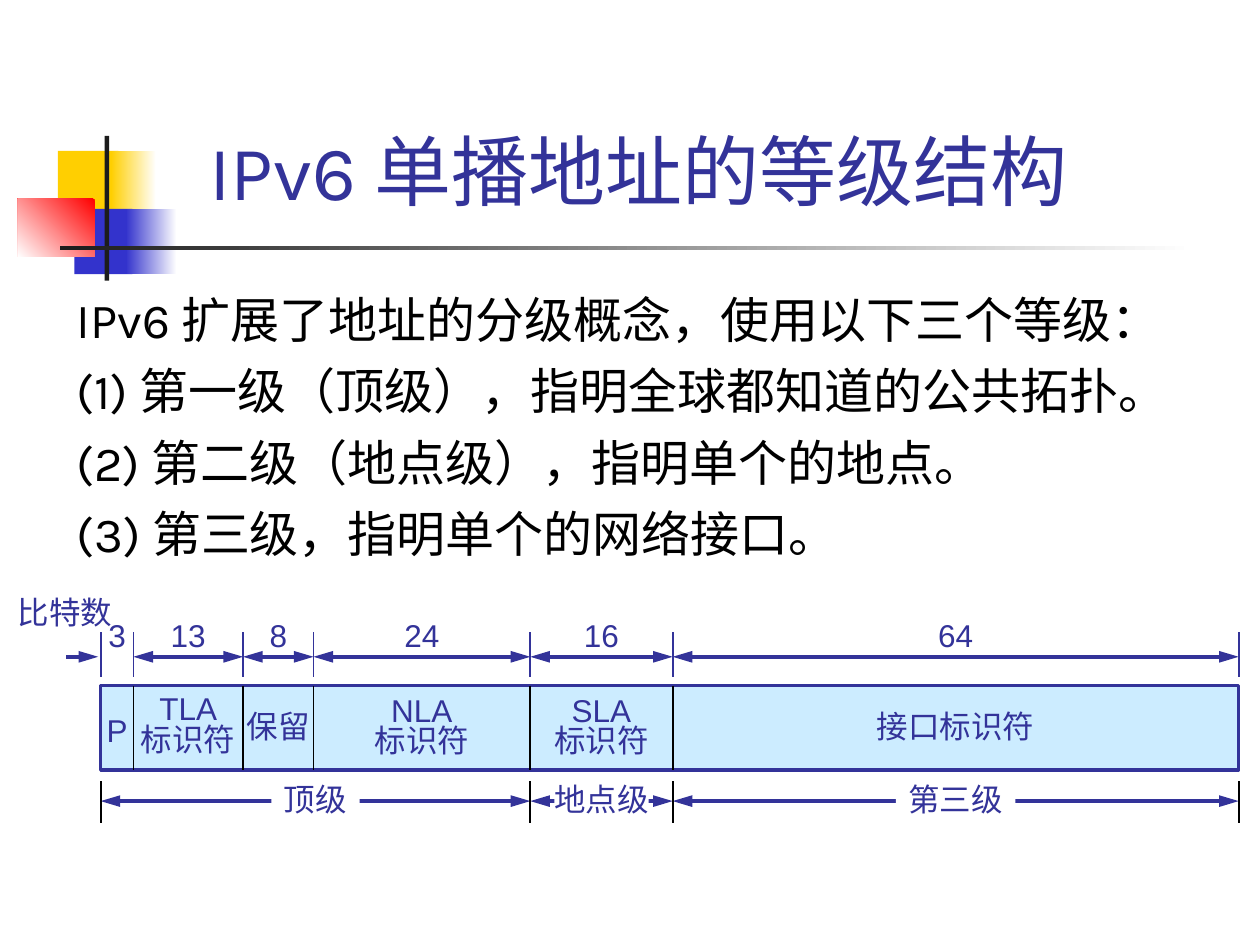
from lxml.etree import SubElement
from pptx import Presentation
from pptx.dml.color import RGBColor
from pptx.enum.shapes import MSO_CONNECTOR, MSO_SHAPE
from pptx.enum.text import MSO_ANCHOR, MSO_AUTO_SIZE, PP_ALIGN
from pptx.oxml.ns import qn
from pptx.util import Cm, Pt

RECT = MSO_SHAPE.RECTANGLE
LINE = MSO_CONNECTOR.STRAIGHT
LEFT, MID = PP_ALIGN.LEFT, PP_ALIGN.CENTER
TOP, BASE = MSO_ANCHOR.TOP, MSO_ANCHOR.BOTTOM
FIXED = MSO_AUTO_SIZE.NONE

INK, BLACK, WHITE, PALE = "333399", "000000", "FFFFFF", "CCECFF"
GOLD, BLUE, RED, DARK = "FFCF01", "3333CC", "FF0000", "1C1C1C"

TITLE = "IPv6 单播地址的等级结构 "
BODY = [
    "IPv6 扩展了地址的分级概念，使用以下三个等级：",
    "(1) 第一级（顶级），指明全球都知道的公共拓扑。",
    "(2) 第二级（地点级），指明单个的地点。",
    "(3) 第三级，指明单个的网络接口。",
]

EDGES = [0, 0.66, 2.87, 4.29, 8.66, 11.53, 22.94]
FIELDS = [
    ("3", ["P"], 0.38),
    ("13", ["TLA", "标识符"], 0.1),
    ("8", ["保留"], 0.3),
    ("24", ["NLA", "标识符"], 0.13),
    ("16", ["SLA", "标识符"], 0.13),
    ("64", ["接口标识符"], 0.3),
]
LEVELS = [
    ("顶级", 0, 4, 1.78),
    ("地点级", 4, 5, 1.9),
    ("第三级", 5, 6, 2.41),
]


def tint(code):
    return RGBColor.from_string(code)


def apply(item, form):
    for key, value in form.items():
        setattr(item, key, value)


def write(shape, lines, font, code, frame, para):
    text = shape.text_frame
    apply(text, {"auto_size": FIXED, **frame})
    for i, words in enumerate(lines):
        part = text.paragraphs[0] if i == 0 else text.add_paragraph()
        apply(part, para)
        run = part.add_run()
        run.text = words
        apply(run.font, font)
        run.font.color.rgb = tint(code)


def block(slide, x, y, w, h, fill, end=None, angle=0):
    shape = slide.shapes.add_shape(RECT, Cm(x), Cm(y), Cm(w), Cm(h))
    shape.shadow.inherit = False
    shape.line.fill.background()
    if end:
        shape.fill.gradient()
        shape.fill.gradient_angle = angle
        for stop, code in zip(shape.fill.gradient_stops, (fill, end)):
            stop.color.rgb = tint(code)
    else:
        shape.fill.solid()
        shape.fill.fore_color.rgb = tint(fill)
    return shape


def rule(slide, x1, y1, x2, y2, code, width=1, ends=()):
    line = slide.shapes.add_connector(LINE, Cm(x1), Cm(y1), Cm(x2), Cm(y2))
    line.line.color.rgb = tint(code)
    line.line.width = Pt(width)
    props = line.line._get_or_add_ln()
    for end in ends:
        SubElement(props, qn(f"a:{end}"), type="triangle", w="med", len="lg")
    SubElement(line._element.spPr, qn("a:effectLst"))


def label(slide, lines, mid, y, w, fill=None):
    h = 1.02 if len(lines) == 1 else 1.47
    box = slide.shapes.add_textbox(Cm(mid - w / 2), Cm(y), Cm(w), Cm(h))
    if fill:
        box.fill.solid()
        box.fill.fore_color.rgb = tint(fill)
    write(box, lines, {"name": "Arial", "size": Pt(18)}, INK,
          {"word_wrap": False, "margin_left": 0, "margin_right": 0},
          {"alignment": MID, "line_spacing": 1 if len(lines) == 1 else 0.8})


def emblem(slide, x, y):
    parts = [
        (0.81, 0.3, 1.22, 1.32, GOLD),
        (1.88, 0.3, 0.91, 1.32, WHITE, GOLD, 180),
        (1.14, 1.47, 1.17, 1.32, BLUE),
        (2.18, 1.47, 1.02, 1.32, WHITE, BLUE, 180),
        (0, 1.27, 1.55, 1.17, RED, WHITE, 225),
        (1.75, 0, 0.09, 2.92, DARK),
        (0.86, 2.21, 22.86, 0.09, WHITE, DARK, 180),
    ]
    for dx, dy, *rest in parts:
        block(slide, x + dx, y + dy, *rest)


def heading(slide, x, y, w, h):
    title = slide.shapes.title
    apply(title, {"left": Cm(x), "top": Cm(y), "width": Cm(w), "height": Cm(h)})
    write(title, [TITLE], {"name": "Karla", "size": Pt(44)}, INK,
          {"word_wrap": True, "vertical_anchor": BASE}, {"alignment": MID})


def body(slide, x, y, w, h):
    box = slide.shapes.add_textbox(Cm(x), Cm(y), Cm(w), Cm(h))
    write(box, BODY, {"name": "Karla", "size": Pt(28)}, BLACK,
          {"word_wrap": True, "vertical_anchor": TOP},
          {"alignment": LEFT, "space_before": Pt(7)})
    for part in box.text_frame.paragraphs:
        props = part._p.get_or_add_pPr()
        props.set("marL", str(Cm(0.97)))
        props.set("indent", str(-Cm(0.97)))


def layout(slide, x, y, w, h):
    both = ("headEnd", "tailEnd")
    frame = block(slide, x, y, w, h, PALE)
    frame.line.color.rgb = tint(INK)
    frame.line.width = Pt(2)

    for edge in EDGES:
        rule(slide, x + edge, y - 1.07, x + edge, y - 0.18, INK)
    for edge in EDGES[1:-1]:
        rule(slide, x + edge, y, x + edge, y + h, BLACK)

    label(slide, ["比特数"], x - 0.72, y - 1.98, 2.41)
    rule(slide, x - 0.69, y - 0.58, x - 0.05, y - 0.58, INK, 2.25, both[1:])
    for i, (bits, name, drop) in enumerate(FIELDS):
        a, b = x + EDGES[i], x + EDGES[i + 1]
        label(slide, [bits], (a + b) / 2, y - 1.52, b - a)
        label(slide, name, (a + b) / 2, y + drop, b - a)
        if i:
            rule(slide, a, y - 0.58, b, y - 0.58, INK, 2.25, both)

    for name, first, last, wide in LEVELS:
        a, b = x + EDGES[first], x + EDGES[last]
        rule(slide, a, y + 2.33, b, y + 2.33, INK, 2.25, both)
        label(slide, [name], (a + b) / 2, y + 1.78, wide, WHITE)
    for i in (0, 4, 5, 6):
        rule(slide, x + EDGES[i], y + 1.93, x + EDGES[i], y + 2.77, BLACK)


def main():
    deck = Presentation()
    apply(deck, {"slide_width": Cm(25.4), "slide_height": Cm(19.05)})
    slide = deck.slides.add_slide(deck.slide_layouts[5])
    emblem(slide, 0.36, 2.74)
    heading(slide, 3.2, 1.93, 19.71, 2.54)
    body(slide, 1.3, 5.72, 23.5, 5.99)
    layout(slide, 2.03, 13.82, 22.94, 1.7)
    deck.save("out.pptx")


if __name__ == "__main__":
    main()
